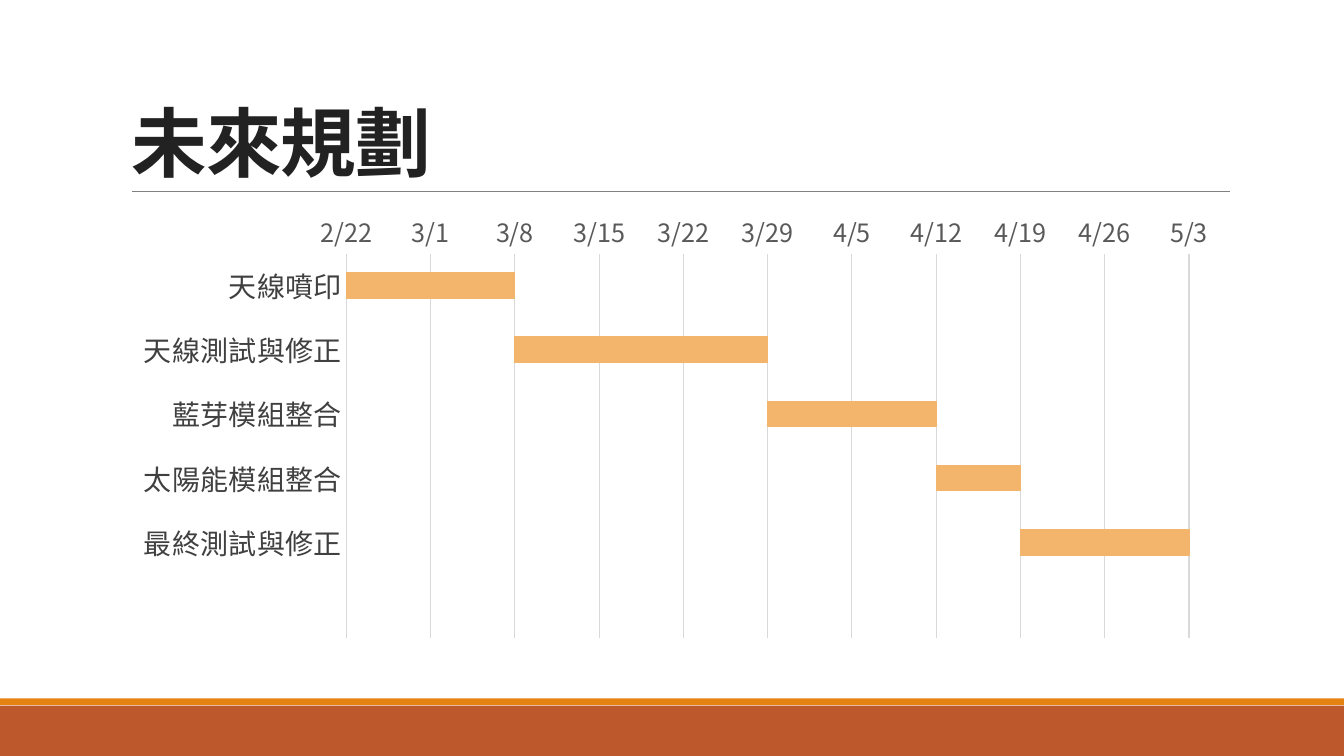
from dataclasses import dataclass

from lxml import etree
from pptx import Presentation
from pptx import util as u
from pptx.chart.data import CategoryChartData
from pptx.dml.color import RGBColor
from pptx.enum import chart as ch, shapes, text
from pptx.oxml.ns import qn


@dataclass(frozen=True)
class Theme:
    font: str = "Noto Sans CJK TC"
    title: str = "222222"
    tasks: str = "404040"
    dates: str = "595959"
    grid: str = "D9D9D9"
    rule: str = "808080"
    bar: str = "F3B56C"
    band: str = "BD582C"
    strip: str = "E48312"
    title_pt: float = 54
    task_pt: float = 20
    date_pt: float = 18


T = Theme()
cm = u.Cm


def set_font(font, size, color, bold=False):
    values = {"name": T.font, "size": u.Pt(size), "bold": bold}
    for key, value in values.items():
        setattr(font, key, value)
    font.color.rgb = RGBColor.from_string(color)


def set_line(line, color, width):
    line.color.rgb = RGBColor.from_string(color)
    line.width = u.Pt(width)


prs = Presentation()
prs.slide_width, prs.slide_height = cm(33.87), cm(19.05)
s = prs.slides.add_slide(prs.slide_layouts[5])

# Footer bands
for top, height, color in ((17.78, 1.27, T.band), (17.6, 0.17, T.strip)):
    sp = s.shapes.add_shape(
        shapes.MSO_SHAPE.RECTANGLE, 0, cm(top), prs.slide_width, cm(height))
    sp.shadow.inherit = False
    sp.fill.solid()
    sp.fill.fore_color.rgb = RGBColor.from_string(color)
    sp.line.fill.background()

# Rule under the title
rule = s.shapes.add_connector(
    shapes.MSO_CONNECTOR.STRAIGHT, cm(3.33), cm(4.82), cm(31), cm(4.82))
set_line(rule.line, T.rule, 0.5)
etree.SubElement(rule.element.spPr, qn("a:effectLst"))

# Title
title = s.shapes.title
box = {"left": 3.05, "top": 0.81, "width": 27.94, "height": 4.03}
for key, value in box.items():
    setattr(title, key, cm(value))
tf = title.text_frame
tf.word_wrap = True
tf.auto_size = text.MSO_AUTO_SIZE.NONE
tf.vertical_anchor = text.MSO_ANCHOR.BOTTOM
p = tf.paragraphs[0]
p.alignment = text.PP_ALIGN.LEFT
p.line_spacing = 0.85
r = p.add_run()
r.text = "未來規劃"
set_font(r.font, T.title_pt, T.title, bold=True)
r.font._element.set("spc", "-50")

# Schedule: durations in days, each task starting when the last one ends
first_day = 44249  # 2/22 as a date serial
tasks = {"天線噴印": 14, "天線測試與修正": 21, "藍芽模組整合": 14,
         "太陽能模組整合": 7, "最終測試與修正": 14}
days = list(tasks.values())
starts = [first_day + sum(days[:i]) for i in range(len(days))]

data = CategoryChartData()
data.categories = [*tasks, ""]  # last row stays empty
data.add_series("Series 1", [*starts, None])
data.add_series("Series 2", [*days, None])
chart_w, chart_h = 27.94, 11.18
frame = s.shapes.add_chart(
    ch.XL_CHART_TYPE.BAR_STACKED, cm(3.05), cm(5.13), cm(chart_w), cm(chart_h), data)
chart = frame.chart
chart.has_legend = chart.has_title = False
set_font(chart.font, T.date_pt, T.dates)

# Bars: the start offset has no fill
plot = chart.plots[0]
plot.gap_width, plot.overlap, plot.vary_by_categories = 150, 100, False
offset, duration = plot.series
offset.format.fill.background()
offset.format.line.fill.background()
duration.format.fill.solid()
duration.format.fill.fore_color.rgb = RGBColor.from_string(T.bar)
set_line(duration.format.line, T.bar, 0.75)

# Axes
task_axis, date_axis = chart.category_axis, chart.value_axis
for axis, size, color in ((task_axis, T.task_pt, T.tasks),
                          (date_axis, T.date_pt, T.dates)):
    axis.major_tick_mark = axis.minor_tick_mark = ch.XL_TICK_MARK.NONE
    set_font(axis.tick_labels.font, size, color)
task_axis.reverse_order = True
task_axis.has_major_gridlines = False
set_line(task_axis.format.line, T.grid, 0.75)
scale = {"minimum_scale": first_day, "maximum_scale": first_day + 71,
         "major_unit": 7, "has_major_gridlines": True}
for key, value in scale.items():
    setattr(date_axis, key, value)
date_axis.tick_labels.number_format = "m/d;@"
date_axis.tick_labels.number_format_is_linked = False
date_axis.format.line.fill.background()
set_line(date_axis.major_gridlines.format.line, T.grid, 0.75)

# Fixed plot area, as shares of the chart size
plot_area = chart.element.find(".//" + qn("c:plotArea"))
layout = plot_area.find(qn("c:layout"))
if layout is None:
    layout = etree.Element(qn("c:layout"))
    plot_area.insert(0, layout)
manual = etree.SubElement(layout, qn("c:manualLayout"))
for tag, value in (("layoutTarget", "inner"), ("xMode", "edge"), ("yMode", "edge"),
                   ("x", 5.68 / chart_w), ("y", 1.26 / chart_h),
                   ("w", 21.54 / chart_w), ("h", 9.7 / chart_h)):
    etree.SubElement(manual, qn("c:" + tag)).set("val", str(value))

# Same font for Chinese characters
for root in (title.element, chart.element):
    for latin in root.findall(".//" + qn("a:latin")):
        ea = etree.Element(qn("a:ea"))
        ea.set("typeface", T.font)
        latin.addnext(ea)

prs.save("out.pptx")
